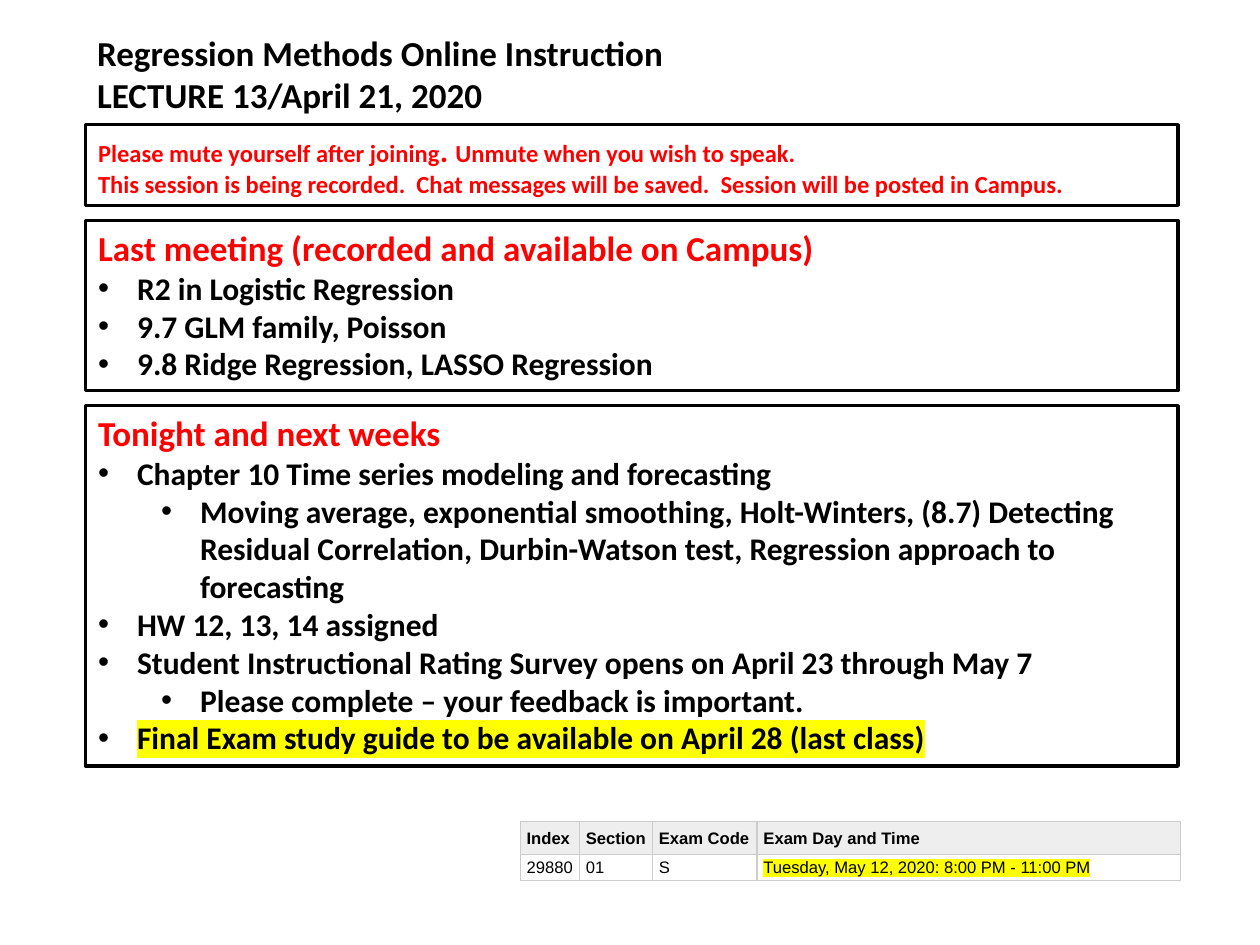
from lxml.etree import SubElement
from pptx import Presentation
from pptx.dml.color import RGBColor
from pptx.enum.shapes import MSO_SHAPE
from pptx.enum.text import MSO_ANCHOR, MSO_AUTO_SIZE, PP_ALIGN
from pptx.oxml import parse_xml
from pptx.oxml.ns import nsdecls, qn
from pptx.util import Inches, Pt

BLACK = RGBColor(0, 0, 0)
RED = RGBColor(0xFF, 0, 0)
WHITE = RGBColor(0xFF, 0xFF, 0xFF)
HEADER_GREY = RGBColor(0xEE, 0xEE, 0xEE)
BORDER_GREY = RGBColor(0xCC, 0xCC, 0xCC)
YELLOW = RGBColor(0xFF, 0xFF, 0)

TITLE = {"size": Pt(20), "color": BLACK}
HEADING = {"size": Pt(20), "color": RED}
ITEM = {"size": Pt(18), "color": BLACK}
MARKED = {**ITEM, "highlight": YELLOW}
NOTICE = {"size": Pt(14), "color": RED}
NOTICE_STOP = {**NOTICE, "size": Pt(18)}
TABLE = {"size": Pt(9.5), "color": BLACK, "name": "Arial"}

TITLE_LINES = [
    (None, [("Regression Methods Online Instruction", TITLE)]),
    (None, [("LECTURE 13/April 21, 2020", TITLE)]),
]
PANELS = [
    (0.99, 0.64, [
        (None, [("Please mute yourself after joining", NOTICE), (". ", NOTICE_STOP),
                ("Unmute when you wish to speak.", NOTICE)]),
        (None, [("This session is being recorded.  Chat messages will be saved.  "
                 "Session will be posted in Campus.", NOTICE)]),
    ]),
    (1.75, 1.35, [
        (None, [("Last meeting (recorded and available on Campus)", HEADING)]),
        (0, [("R2 in Logistic Regression", ITEM)]),
        (0, [("9.7 GLM family, Poisson", ITEM)]),
        (0, [("9.8 Ridge Regression, LASSO Regression", ITEM)]),
    ]),
    (3.22, 2.86, [
        (None, [("Tonight and next weeks", HEADING)]),
        (0, [("Chapter 10 Time series modeling and forecasting", ITEM)]),
        (1, [("Moving average, exponential smoothing, Holt-Winters, (8.7) Detecting Residual "
              "Correlation, Durbin-Watson test, Regression approach to forecasting", ITEM)]),
        (0, [("HW 12, 13, 14 assigned", ITEM)]),
        (0, [("Student Instructional Rating Survey opens on April 23 through May 7", ITEM)]),
        (1, [("Please complete – your feedback is important.", ITEM)]),
        (0, [("Final Exam study guide to be available on April 28 (last class)", MARKED)]),
    ]),
]
PANEL_LEFT, PANEL_WIDTH = 0.68, 8.67

EXAM_ROWS = [
    ["Index", "Section", "Exam Code", "Exam Day and Time"],
    ["29880", "01", "S", "Tuesday, May 12, 2020: 8:00 PM - 11:00 PM"],
]
EXAM_LEFT, EXAM_TOP = 4.13, 6.52
EXAM_WIDTHS = [0.47, 0.58, 0.83, 3.36]
EXAM_HEIGHTS = [0.26, 0.21]


def add_run(paragraph, text, look):
    run = paragraph.add_run()
    run.text = text
    font_values = {"name": "Calibri", "bold": True, **look}
    highlight = font_values.pop("highlight", None)
    run.font.color.rgb = font_values.pop("color")
    for attribute, value in font_values.items():
        setattr(run.font, attribute, value)
    if highlight is not None:
        mark = parse_xml(f'<a:highlight {nsdecls("a")}><a:srgbClr val="{highlight}"/></a:highlight>')
        run.font._element.find(qn("a:solidFill")).addnext(mark)


def write_lines(frame, lines):
    frame.word_wrap = True
    frame.auto_size = MSO_AUTO_SIZE.NONE
    frame.vertical_anchor = MSO_ANCHOR.TOP
    for number, (level, runs) in enumerate(lines):
        paragraph = frame.add_paragraph() if number else frame.paragraphs[0]
        paragraph.alignment = PP_ALIGN.LEFT
        if level is not None:
            paragraph.level = level
            properties = paragraph._p.get_or_add_pPr()
            properties.set("marL", str(Inches(0.31 + 0.5 * level)))
            properties.set("indent", str(Inches(-0.31)))
            SubElement(properties, qn("a:buFont"), typeface="Arial")
            SubElement(properties, qn("a:buChar"), char="•")
        for text, look in runs:
            add_run(paragraph, text, look)


def add_panel(slide, top, height, lines):
    panel = slide.shapes.add_shape(MSO_SHAPE.RECTANGLE, Inches(PANEL_LEFT), Inches(top),
                                   Inches(PANEL_WIDTH), Inches(height))
    panel.shadow.inherit = False
    panel.fill.solid()
    panel.fill.fore_color.rgb = WHITE
    panel.line.color.rgb = BLACK
    panel.line.width = Pt(2)
    write_lines(panel.text_frame, lines)


def add_borders(cell):
    properties = cell._tc.get_or_add_tcPr()
    for position, side in enumerate("LRTB"):
        properties.insert(position, parse_xml(
            f'<a:ln{side} {nsdecls("a")} w="{Pt(1)}"><a:solidFill>'
            f'<a:srgbClr val="{BORDER_GREY}"/></a:solidFill></a:ln{side}>'))


def fill_cell(cell, text, is_header, is_marked):
    cell_values = {"margin_left": Inches(0.05), "margin_right": Inches(0.05),
                   "margin_top": Inches(0.02), "margin_bottom": Inches(0.02),
                   "vertical_anchor": MSO_ANCHOR.MIDDLE}
    for attribute, value in cell_values.items():
        setattr(cell, attribute, value)
    if is_header:
        cell.fill.solid()
        cell.fill.fore_color.rgb = HEADER_GREY
    else:
        cell.fill.background()
    add_borders(cell)
    paragraph = cell.text_frame.paragraphs[0]
    paragraph.line_spacing = 1.07
    look = {**TABLE, "bold": is_header}
    if is_marked:
        look["highlight"] = YELLOW
    add_run(paragraph, text, look)


def add_exam_table(slide):
    exams = slide.shapes.add_table(len(EXAM_ROWS), len(EXAM_WIDTHS), Inches(EXAM_LEFT),
                                   Inches(EXAM_TOP), Inches(sum(EXAM_WIDTHS)),
                                   Inches(sum(EXAM_HEIGHTS))).table
    exams.first_row = exams.horz_banding = False
    for column, width in zip(exams.columns, EXAM_WIDTHS):
        column.width = Inches(width)
    for r, (values, height) in enumerate(zip(EXAM_ROWS, EXAM_HEIGHTS)):
        exams.rows[r].height = Inches(height)
        for c, text in enumerate(values):
            fill_cell(exams.cell(r, c), text, r == 0, r == 1 and c == len(values) - 1)


def main():
    """Build the lecture 13 agenda slide."""
    deck = Presentation()
    deck.slide_width, deck.slide_height = Inches(10), Inches(7.5)
    slide = deck.slides.add_slide(deck.slide_layouts[5])
    title = slide.shapes.title
    title.left, title.top = Inches(0.67), Inches(0.2)
    title.width, title.height = Inches(8), Inches(0.77)
    write_lines(title.text_frame, TITLE_LINES)
    for top, height, lines in PANELS:
        add_panel(slide, top, height, lines)
    add_exam_table(slide)
    deck.save("out.pptx")


if __name__ == "__main__":
    main()
